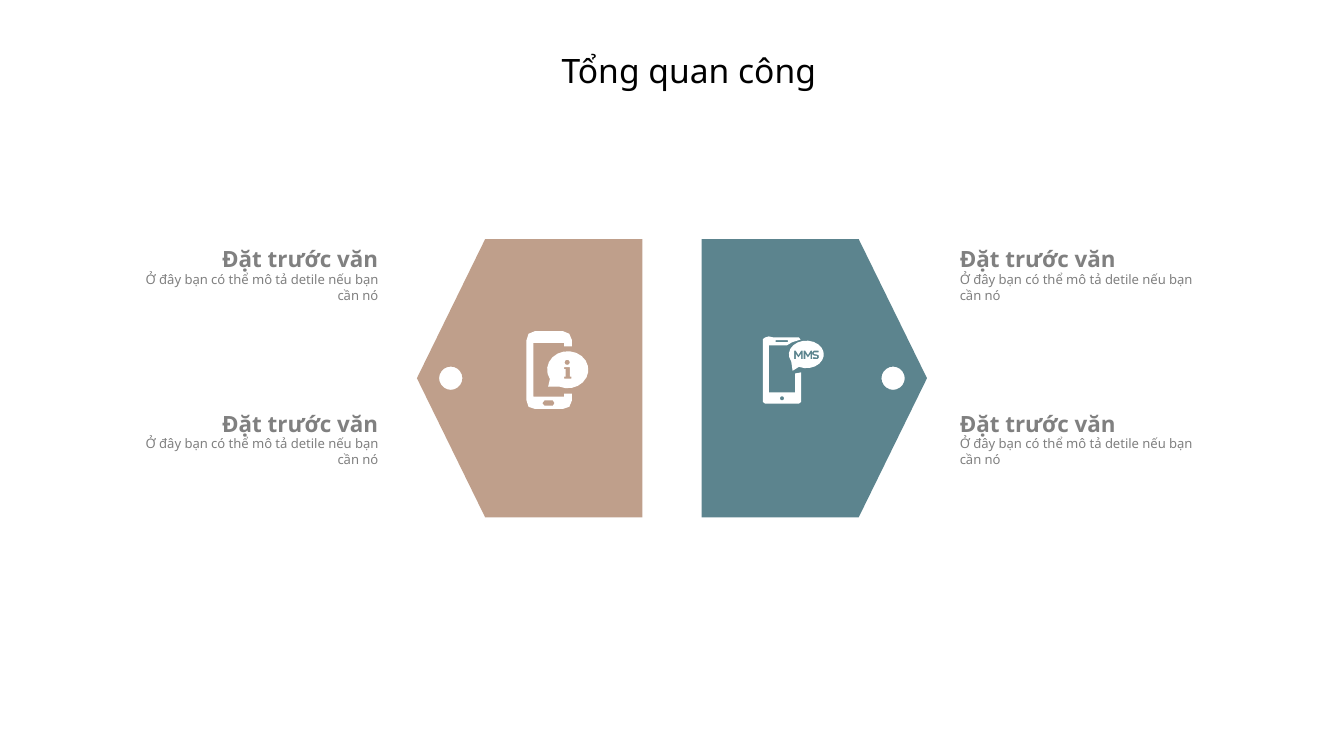
from dataclasses import dataclass
from math import cos, radians, sin

from pptx import Presentation
from pptx.dml.color import RGBColor
from pptx.enum.text import MSO_ANCHOR as Anchor, MSO_AUTO_SIZE as AutoSize, PP_ALIGN as Align
from pptx.shapes.autoshape import Shape
from pptx.shapes.shapetree import GroupShapes
from pptx.util import Cm, Pt

COLOURS = {
    "title": "000000",
    "text": "808080",
    "white": "FFFFFF",
    "sand": "BF9F8B",
    "teal": "5C848E",
}
FONT = "Noto Sans"
HEADING = "Đặt trước văn"
DETAIL = "Ở đây bạn có thể mô tả detile nếu bạn cần nó"
SLIDE_WIDTH, SLIDE_HEIGHT = 25.4, 14.29
MIDDLE_Y = 7.15
ENTRY_TOPS = (4.64, 7.75)

Contour = tuple[tuple[float, float], ...]


@dataclass(frozen=True)
class Side:
    colour: str
    mirrored: bool
    text_left: float
    text_width: float
    align: Align
    icon: tuple[Contour, ...]


def arc(x: float, y: float, radius_x: float, radius_y: float, steps: int,
        start: float = 0, end: float = 360) -> Contour:
    """Points along an ellipse, clockwise from the right, in centimetres."""
    angles = [radians(start + (end - start) * i / steps) for i in range(steps + 1)]
    return tuple((x + radius_x * cos(a), y + radius_y * sin(a)) for a in angles)


def bubble(x: float, y: float, radius_x: float, radius_y: float,
           tail: tuple[float, float]) -> Contour:
    return arc(x, y, radius_x, radius_y, 18, 150, 475) + (tail,)


def shifted(contour: Contour, left: float, top: float) -> Contour:
    return tuple((left + x, top + y) for x, y in contour)


def draw_contours(shapes: GroupShapes, contours: tuple[Contour, ...], colour: str) -> None:
    """Draw one filled outline; inner contours are holes."""
    scaled = [[(Cm(x), Cm(y)) for x, y in contour] for contour in contours]
    builder = shapes.build_freeform(*scaled[0][0])
    for index, points in enumerate(scaled):
        if index:
            builder.move_to(*points[0])
        builder.add_line_segments(points[1:], close=True)
    shape = builder.convert_to_shape()
    shape.shadow.inherit = False
    shape.fill.solid()
    shape.fill.fore_color.rgb = RGBColor.from_string(COLOURS[colour])
    shape.line.fill.background()


def write(shape: Shape, text: str, size: float, colour: str, align: Align,
          bold: bool = False) -> None:
    paragraph = shape.text_frame.paragraphs[0]
    paragraph.text = text
    paragraph.alignment = align
    font = paragraph.font
    font.name, font.size, font.bold = FONT, Pt(size), bold
    font.color.rgb = RGBColor.from_string(COLOURS[colour])


def draw_text(shapes: GroupShapes, side: Side, top: float, height: float,
              text: str, size: float, bold: bool) -> None:
    box = shapes.add_textbox(Cm(side.text_left), Cm(top), Cm(side.text_width), Cm(height))
    frame = box.text_frame
    frame.word_wrap = not bold
    frame.margin_left = frame.margin_right = Cm(0.2)
    frame.margin_top = frame.margin_bottom = 0
    write(box, text, size, "text", side.align, bold)


def draw_side(shapes: GroupShapes, side: Side) -> None:
    # Arrow panel with a round hole
    panel = ((12.14, 4.52), (9.17, 4.52), (7.88, MIDDLE_Y), (9.17, 9.78), (12.14, 9.78))
    contours = (panel, arc(8.52, MIDDLE_Y, 0.22, 0.22, 20))
    if side.mirrored:
        contours = tuple(tuple((SLIDE_WIDTH - x, y) for x, y in contour)
                         for contour in contours)
    draw_contours(shapes, contours, side.colour)

    # Icon
    draw_contours(shapes, side.icon, "white")

    # Headings with details
    for top in ENTRY_TOPS:
        draw_text(shapes, side, top + 0.49, 1.22, DETAIL, 7, False)
        draw_text(shapes, side, top, 0.51, HEADING, 12, True)


LETTER_M = ((0, 0), (0.03, 0), (0.08, 0.08), (0.13, 0), (0.16, 0), (0.16, 0.16),
            (0.13, 0.16), (0.13, 0.06), (0.08, 0.13), (0.03, 0.06), (0.03, 0.16), (0, 0.16))
LETTER_S = ((0.12, 0), (0.03, 0), (0, 0.03), (0, 0.07), (0.03, 0.09), (0.09, 0.1),
            (0.09, 0.13), (0.02, 0.12), (0, 0.14), (0.03, 0.16), (0.1, 0.16), (0.13, 0.13),
            (0.12, 0.08), (0.03, 0.06), (0.04, 0.03), (0.12, 0.03))

# Each icon: phone, phone button, bubble, then the marks cut out of the bubble
INFO_ICON = (
    ((9.95, 6.43), (9.99, 6.31), (10.11, 6.26), (10.64, 6.26), (10.76, 6.31), (10.81, 6.43),
     (10.81, 6.55), (10.66, 6.55), (10.66, 6.48), (10.08, 6.48), (10.08, 7.5), (10.66, 7.5),
     (10.66, 7.44), (10.81, 7.44), (10.81, 7.57), (10.76, 7.69), (10.64, 7.73),
     (10.11, 7.73), (9.99, 7.69), (9.95, 7.57)),
    ((10.29, 7.57), (10.45, 7.57), (10.48, 7.62), (10.45, 7.67), (10.29, 7.67), (10.25, 7.62)),
    bubble(10.73, 6.99, 0.39, 0.35, (10.36, 7.31)),
    arc(10.72, 6.85, 0.05, 0.05, 8),
    ((10.66, 6.94), (10.77, 6.94), (10.77, 7.12), (10.8, 7.12), (10.8, 7.16),
     (10.66, 7.16), (10.66, 7.12), (10.69, 7.12), (10.69, 6.98), (10.66, 6.98)),
)
MESSAGE_ICON = (
    ((14.42, 6.41), (14.46, 6.38), (14.53, 6.36), (14.62, 6.38), (15.1, 6.38), (15.13, 6.42),
     (14.97, 6.47), (14.87, 6.53), (14.53, 6.53), (14.53, 7.42), (15.03, 7.42),
     (15.03, 7.06), (15.14, 7.04), (15.14, 7.6), (15.1, 7.63), (14.46, 7.63), (14.42, 7.6)),
    arc(14.78, 7.53, 0.04, 0.04, 8),
    ((14.66, 6.43), (14.89, 6.43), (14.89, 6.47), (14.66, 6.47)),
    bubble(15.24, 6.7, 0.33, 0.26, (14.98, 7.01)),
    shifted(LETTER_M, 15.01, 6.63),
    shifted(LETTER_M, 15.19, 6.63),
    shifted(LETTER_S, 15.35, 6.63),
)
SIDES = (
    Side("sand", False, 2.35, 5.0, Align.RIGHT, INFO_ICON),
    Side("teal", True, 17.94, 5.13, Align.LEFT, MESSAGE_ICON),
)


def main() -> None:
    presentation = Presentation()
    presentation.slide_width, presentation.slide_height = Cm(SLIDE_WIDTH), Cm(SLIDE_HEIGHT)
    slide = presentation.slides.add_slide(presentation.slide_layouts[5])

    # Title
    title = slide.shapes.title
    title.left, title.top, title.width, title.height = Cm(10.36), Cm(0.82), Cm(5.36), Cm(1.02)
    title.text_frame.word_wrap = False
    title.text_frame.auto_size = AutoSize.NONE
    title.text_frame.vertical_anchor = Anchor.MIDDLE
    write(title, "Tổng quan công", 18, "title", Align.LEFT)

    # Both halves of the overview
    for side in SIDES:
        draw_side(slide.shapes.add_group_shape().shapes, side)

    presentation.save("out.pptx")


if __name__ == "__main__":
    main()
